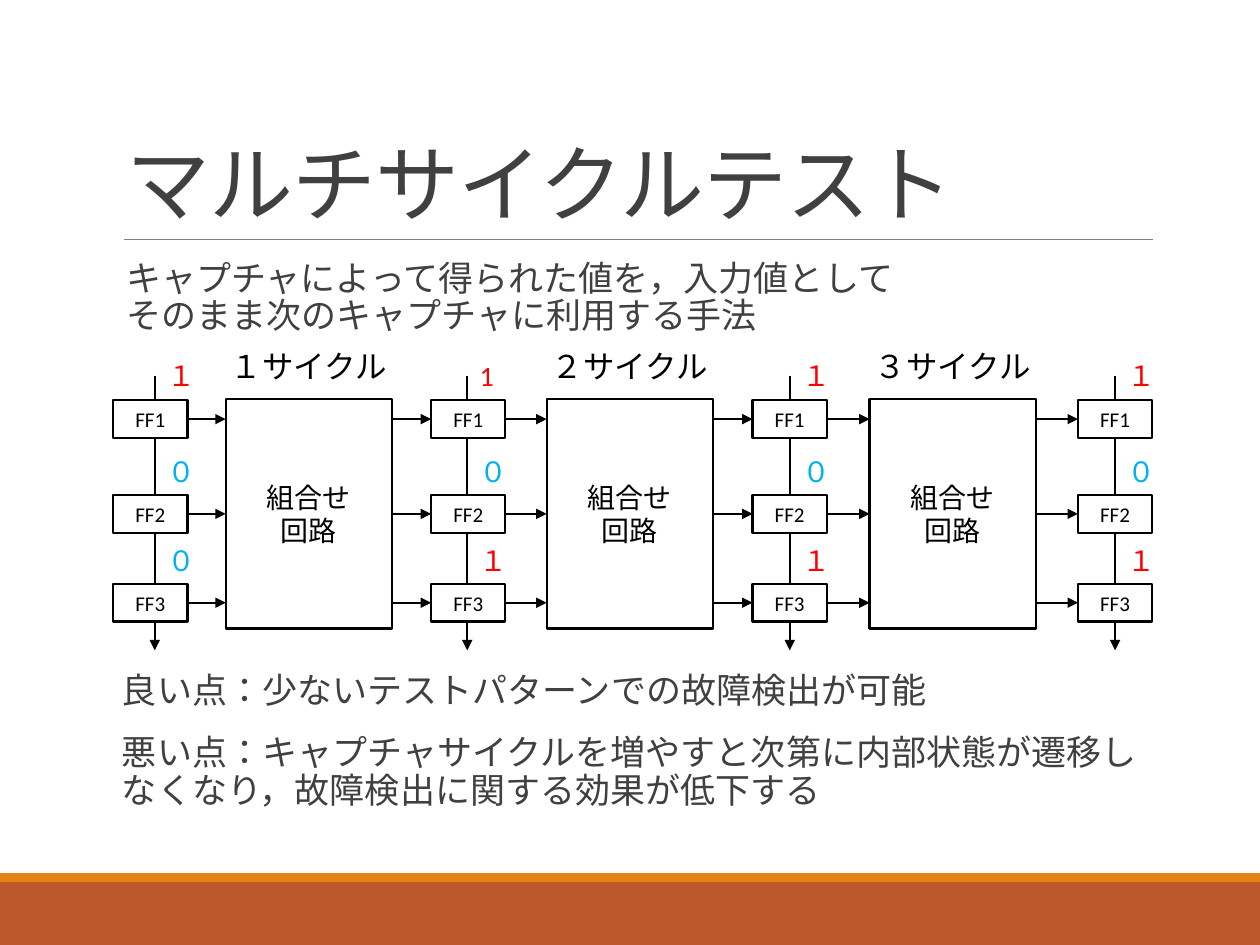
from copy import deepcopy

from pptx import Presentation
from pptx.dml.color import RGBColor
from pptx.enum.lang import MSO_LANGUAGE_ID as LANG
from pptx.enum.shapes import MSO_CONNECTOR as CONN, MSO_SHAPE as SHAPE
from pptx.enum.text import MSO_ANCHOR as ANCHOR, MSO_AUTO_SIZE as AUTO, PP_ALIGN as ALIGN
from pptx.oxml.ns import qn
from pptx.util import Cm, Pt
from lxml.etree import SubElement

COLORS = {
    "text": "404040", "black": "000000", "white": "FFFFFF", "rule": "808080",
    "band": "BD582C", "stripe": "E48312", "1": "FF0000", "0": "00B0F0",
}
TOP, LEFT, BOTTOM, RIGHT = range(4)


def rgb(name):
    return RGBColor.from_string(COLORS[name])


def write(tf, text, size=20, color="text", font="Calibri", align=ALIGN.LEFT,
          anchor=ANCHOR.TOP, spacing=1.0, before=0, after=0, indent=0,
          inset=0.25, tracking=None):
    """Fill a text frame: \\n starts a paragraph, \\v breaks a line."""
    tf.word_wrap, tf.auto_size, tf.vertical_anchor = True, AUTO.NONE, anchor
    tf.margin_left = tf.margin_right = Cm(inset)
    tf.margin_top = tf.margin_bottom = Cm(0.13)
    tf.text = text
    for i, p in enumerate(tf.paragraphs):
        p.alignment, p.line_spacing = align, spacing
        p.space_before, p.space_after = Pt(before if i else 0), Pt(after)
        pPr = p._p.get_or_add_pPr()
        pPr.set("marL", str(Cm(indent)))
        pPr.set("indent", "0")
        SubElement(pPr, qn("a:buNone"))
        for r in p.runs:
            r.font.name, r.font.size = font, Pt(size)
            r.font.color.rgb = rgb(color)
            r.font.language_id = LANG.JAPANESE
            if tracking:
                r._r.get_or_add_rPr().set("spc", str(tracking))
        # Line breaks share the size of the text around them
        for br in p._p.findall(qn("a:br")):
            br.append(deepcopy(p.runs[0]._r.rPr))


class Deck:
    NOTE = dict(spacing=0.9, before=12, after=2, indent=0.25, inset=0)

    def __init__(self):
        self.prs = Presentation()
        self.prs.slide_width, self.prs.slide_height = Cm(25.4), Cm(19.05)
        self.s = self.prs.slides.add_slide(self.prs.slide_layouts[1])

    def placeholder(self, idx, x, y, w, h, text, **fmt):
        sp = self.s.placeholders[idx]
        sp.left, sp.top, sp.width, sp.height = Cm(x), Cm(y), Cm(w), Cm(h)
        write(sp.text_frame, text, **fmt)

    def textbox(self, x, y, w, h, text, **fmt):
        sp = self.s.shapes.add_textbox(Cm(x), Cm(y), Cm(w), Cm(h))
        write(sp.text_frame, text, **fmt)

    def rect(self, x, y, w, h, fill="white", line=None):
        sp = self.s.shapes.add_shape(SHAPE.RECTANGLE, Cm(x), Cm(y), Cm(w), Cm(h))
        sp.shadow.inherit = False
        sp.fill.solid()
        sp.fill.fore_color.rgb = rgb(fill)
        if line:
            sp.line.color.rgb, sp.line.width = rgb(line), Pt(1.25)
        else:
            sp.line.fill.background()
        return sp

    def box(self, x, y, w, h, text, size):
        sp = self.rect(x, y, w, h, line="black")
        write(sp.text_frame, text, size=size, color="black",
              align=ALIGN.CENTER, anchor=ANCHOR.MIDDLE)
        return sp

    def line(self, x1, y1, x2, y2, color="black", width=1, arrow=True,
             begin=None, end=None):
        c = self.s.shapes.add_connector(CONN.STRAIGHT, Cm(x1), Cm(y1), Cm(x2), Cm(y2))
        c.line.color.rgb, c.line.width = rgb(color), Pt(width)
        if arrow:
            SubElement(c.get_or_add_ln(), qn("a:tailEnd"), type="triangle")
        SubElement(c._element.spPr, qn("a:effectLst"))
        if begin:
            c.begin_connect(begin, RIGHT)
        if end:
            c.end_connect(end, LEFT)


# Circuit layout in cm: flip-flop columns, rows and logic blocks
FF_W, FF_H = 1.5, 0.76
FF_LEFTS = [2.28, 8.69, 15.17, 21.73]
CHAINS = [3.12, 9.42, 15.92, 22.48]
ROWS = [8.45, 10.36, 12.15]
DIGIT_TOPS = [7.17, 9.12, 10.91]
VALUES = ["１００", "1０１", "１０１", "１０１"]
BLOCK_LEFTS = [4.55, 11.02, 17.53]
BLOCK_W, BLOCK_H = 3.35, 4.62
BLOCK_TOP = ROWS[1] - BLOCK_H / 2
LABEL_W = 4.22


def main():
    d = Deck()

    # Footer bands and title rule
    d.rect(0, 17.78, 25.4, 1.27, "band")
    d.rect(0, 17.6, 25.4, 0.18, "stripe")
    d.line(2.49, 4.83, 23.24, 4.83, color="rule", width=0.5, arrow=False)

    # Title and texts
    d.placeholder(0, 2.29, 0.79, 20.96, 4.04, "マルチサイクルテスト", size=48,
                  spacing=0.85, anchor=ANCHOR.BOTTOM, tracking=-50)
    d.placeholder(1, 2.29, 5.13, 20.96, 1.8,
                  "キャプチャによって得られた値を，入力値として\v"
                  "そのまま次のキャプチャに利用する手法", **d.NOTE)
    d.textbox(2.21, 13.44, 20.96, 4.06,
              "良い点：少ないテストパターンでの故障検出が可能\n"
              "悪い点：キャプチャサイクルを増やすと次第に内部状態が遷移し"
              "なくなり，故障検出に関する効果が低下する", **d.NOTE)

    # Scan chains with their flip-flops and values
    ffs = []
    for left, chain, values in zip(FF_LEFTS, CHAINS, VALUES):
        d.line(chain, 7.57, chain, 13.11)
        ffs.append([d.box(left, y - FF_H / 2, FF_W, FF_H, f"FF{n}", 12)
                    for n, y in enumerate(ROWS, 1)])
        for top, value in zip(DIGIT_TOPS, values):
            d.textbox(chain, top, 0.84, 0.86, value, size=16,
                      color=str(int(value)), **d.NOTE)

    # Logic blocks, cycle labels and arrows between the columns
    for i, (left, cycle) in enumerate(zip(BLOCK_LEFTS, "１２３")):
        block = d.box(left, BLOCK_TOP, BLOCK_W, BLOCK_H, "組合せ\n回路", 16)
        d.textbox(left + (BLOCK_W - LABEL_W) / 2, 6.89, LABEL_W, 0.99,
                  f"{cycle}サイクル", size=18, color="black",
                  align=ALIGN.CENTER, anchor=ANCHOR.MIDDLE)
        for y, source, target in zip(ROWS, ffs[i], ffs[i + 1]):
            side = block if y == ROWS[1] else None
            d.line(FF_LEFTS[i] + FF_W, y, left, y, begin=source, end=side)
            d.line(left + BLOCK_W, y, FF_LEFTS[i + 1], y, begin=side, end=target)

    d.prs.save("out.pptx")


if __name__ == "__main__":
    main()
